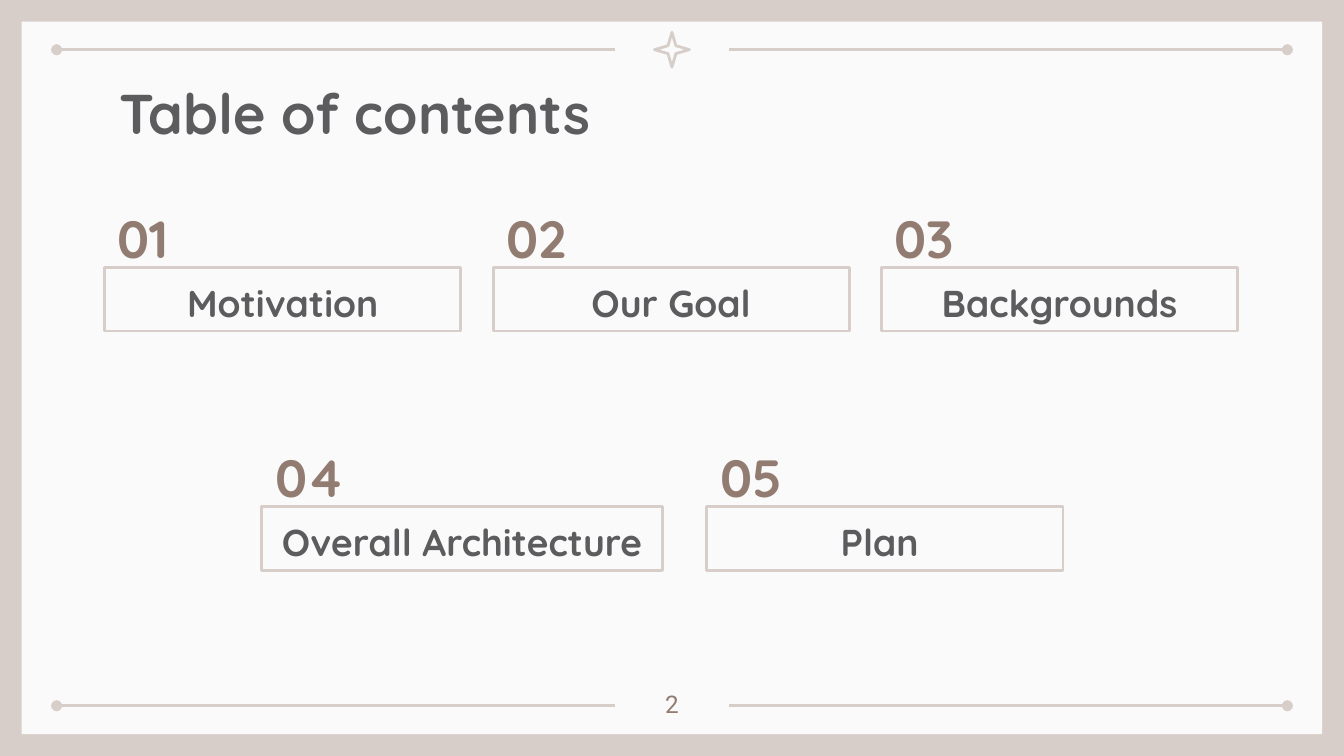
from lxml.etree import SubElement
from pptx import Presentation
from pptx.dml.color import RGBColor
from pptx.enum.shapes import MSO_CONNECTOR, MSO_SHAPE
from pptx.enum.text import MSO_ANCHOR as Anchor, MSO_AUTO_SIZE, PP_ALIGN as Align
from pptx.oxml.ns import qn
from pptx.util import Cm, Pt

BEIGE = RGBColor(0xD8, 0xCE, 0xC9)
PAPER = RGBColor(0xFA, 0xFA, 0xFA)
BROWN = RGBColor(0x92, 0x7C, 0x71)
GRAY = RGBColor(0x5C, 0x5C, 0x5F)

WIDTH, HEIGHT = 25.4, 14.29
MARGIN = 0.41
LINE_START, LINE_END = 1.07, 11.63
LINE_TOP, LINE_BOTTOM = 0.94, 13.34
BOX_WIDTH, BOX_HEIGHT = 6.73, 1.21
FIRST_LEFT, COLUMN_PITCH = 1.98, 7.34
ROW_1, ROW_2 = 5.05, 9.57
NUMBER_RISE = 1.25


def write(holder, text, size, color, font="Quicksand", bold=True,
          align=Align.LEFT, anchor=Anchor.TOP, spacing=1.0):
    frame = holder.text_frame
    frame.text = text
    frame.word_wrap = True
    frame.auto_size = MSO_AUTO_SIZE.NONE
    frame.vertical_anchor = anchor
    frame.margin_left = frame.margin_right = Cm(0.25)
    frame.margin_top = frame.margin_bottom = Cm(0.25)
    paragraph = frame.paragraphs[0]
    paragraph.alignment = align
    paragraph.line_spacing = spacing
    for run in paragraph.runs:
        run.font.name = font
        run.font.size = Pt(size)
        run.font.bold = bold
        run.font.color.rgb = color


def add_outline(slide, kind, left, top, width, height):
    outline = slide.shapes.add_shape(kind, Cm(left), Cm(top), Cm(width), Cm(height))
    outline.shadow.inherit = False
    outline.fill.background()
    outline.line.color.rgb = BEIGE
    outline.line.width = Pt(1.5)
    return outline


def add_rule(slide, outer, inner, y):
    """Draw a horizontal line with a dot at its outer end."""
    rule = slide.shapes.add_connector(
        MSO_CONNECTOR.STRAIGHT, Cm(outer), Cm(y), Cm(inner), Cm(y))
    rule.line.color.rgb = BEIGE
    rule.line.width = Pt(1.5)
    SubElement(rule.line._get_or_add_ln(), qn("a:headEnd"), type="oval")
    SubElement(rule._element.spPr, qn("a:effectLst"))


def add_entry(slide, number, topic, left, top, width=BOX_WIDTH):
    label = slide.shapes.add_textbox(
        Cm(left), Cm(top - NUMBER_RISE), Cm(1.83), Cm(BOX_HEIGHT))
    write(label, f"{number:02}", 28, BROWN, anchor=Anchor.MIDDLE, spacing=1.15)
    box = add_outline(slide, MSO_SHAPE.RECTANGLE, left, top, width, BOX_HEIGHT)
    write(box, topic, 20, GRAY, align=Align.CENTER, anchor=Anchor.MIDDLE, spacing=1.15)


def add_frame(slide):
    slide.background.fill.solid()
    slide.background.fill.fore_color.rgb = BEIGE
    panel = add_outline(slide, MSO_SHAPE.RECTANGLE, MARGIN, MARGIN,
                        WIDTH - 2 * MARGIN, HEIGHT - 2 * MARGIN)
    panel.fill.solid()
    panel.fill.fore_color.rgb = PAPER
    panel.line.fill.background()
    # Send the panel behind the title
    slide.shapes._spTree.insert(2, panel._element)

    for y in (LINE_TOP, LINE_BOTTOM):
        add_rule(slide, LINE_START, LINE_END, y)
        add_rule(slide, WIDTH - LINE_START, WIDTH - LINE_END, y)
    star = add_outline(slide, MSO_SHAPE.STAR_4_POINT, 12.37, 0.61, 0.66, 0.66)
    star.adjustments[0] = 0.16


def main():
    deck = Presentation()
    deck.slide_width, deck.slide_height = Cm(WIDTH), Cm(HEIGHT)
    slide = deck.slides.add_slide(deck.slide_layouts[5])
    add_frame(slide)

    # Title
    title = slide.shapes.title
    title.left, title.top, title.width, title.height = Cm(2.01), Cm(1.24), Cm(21.41), Cm(1.6)
    write(title, "Table of contents", 30, GRAY)

    # Upper row: evenly spaced columns
    for column, topic in enumerate(("Motivation", "Our Goal", "Backgrounds")):
        add_entry(slide, column + 1, topic, FIRST_LEFT + column * COLUMN_PITCH, ROW_1)

    # Lower row: the first box is wider for its longer topic
    add_entry(slide, 4, "Overall Architecture", 4.95, ROW_2, width=7.57)
    add_entry(slide, 5, "Plan ", 13.36, ROW_2)

    # Page number
    page = slide.shapes.add_textbox(Cm(11.94), Cm(12.78), Cm(1.52), Cm(0.91))
    write(page, "2", 13, BROWN, font="Roboto", bold=False, align=Align.CENTER)

    deck.save("out.pptx")


if __name__ == "__main__":
    main()
